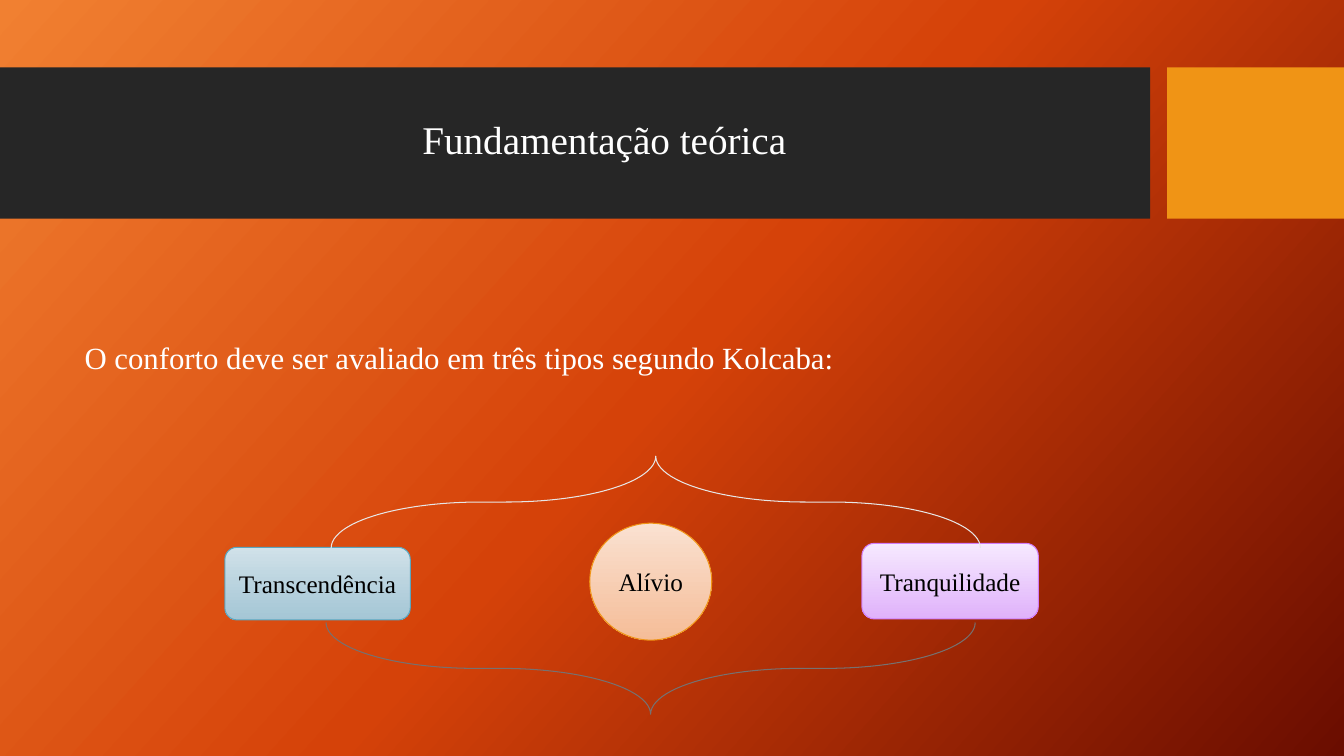
from copy import deepcopy
from dataclasses import dataclass

from pptx import Presentation
from pptx import util as u
from pptx.dml.color import RGBColor
from pptx.dml.fill import FillFormat
from pptx.enum import shapes, text
from pptx.shapes.autoshape import Shape
from pptx.slide import Slide
from pptx.text.text import TextFrame

WIDE, HIGH = u.Inches(13.333), u.Inches(7.5)
KIND = shapes.MSO_SHAPE


@dataclass(frozen=True)
class Theme:
    font: str = "Times New Roman"
    head: int = 28
    body: int = 22
    label: int = 18
    rule: float = 0.75
    light: str = "FFFFFF"
    ink: str = "000000"
    band: str = "262626"
    accent: str = "F09415"
    back: tuple[str, ...] = ("F18031", "D54209", "6A0D00")
    slope: int = 42


@dataclass(frozen=True)
class Box:
    left: float
    top: float
    width: float
    height: float

    def place(self) -> tuple[int, int, int, int]:
        return (round(WIDE * self.left / 100), round(HIGH * self.top / 100),
                round(WIDE * self.width / 100), round(HIGH * self.height / 100))


@dataclass(frozen=True)
class Comfort:
    name: str
    kind: KIND
    box: Box
    tones: tuple[str, ...]
    edge: str


@dataclass(frozen=True)
class Brace:
    box: Box
    turn: int
    edge: str


THEME = Theme()
BANDS = (
    (Box(0, 8.93, 85.58, 20), THEME.band),
    (Box(86.85, 8.93, 13.15, 20), THEME.accent),
)
TYPES = (
    Comfort("Transcendência", KIND.ROUNDED_RECTANGLE,
            Box(16.73, 72.4, 13.8, 9.6), ("D0E1E9", "A4C6D5"), "5AA6C0"),
    Comfort("Tranquilidade", KIND.ROUNDED_RECTANGLE,
            Box(64.13, 71.87, 13.13, 10), ("F6E9FE", "E0B2FB"), "D17DF9"),
    Comfort("Alívio", KIND.OVAL,
            Box(43.88, 69.2, 9.08, 15.47), ("FAE1D1", "F5BD98"), THEME.accent),
)
BRACES = (
    Brace(Box(45.38, 23.47, 6.83, 85.87), 270, "E7E6E6"),
    Brace(Box(45, 45.47, 6.83, 85.87), 90, "767171"),
)


def blend(fill: FillFormat, tones: tuple[str, ...], angle: int) -> None:
    fill.gradient()
    fill.gradient_angle = 360 - angle
    stops = fill.gradient_stops
    last = stops[len(stops) - 1]._gs
    for _ in tones[2:]:
        last.addnext(deepcopy(last))
    for i, (stop, tone) in enumerate(zip(fill.gradient_stops, tones)):
        stop.position = i / (len(tones) - 1)
        stop.color.rgb = RGBColor.from_string(tone)


def write(frame: TextFrame, words: str, size: int, color: str,
          align: text.PP_ALIGN) -> None:
    frame.text = words
    frame.vertical_anchor = text.MSO_ANCHOR.MIDDLE
    line = frame.paragraphs[0]
    line.alignment = align
    line.font.name = THEME.font
    line.font.size = u.Pt(size)
    line.font.color.rgb = RGBColor.from_string(color)


def shape(slide: Slide, kind: KIND, box: Box, edge: str | None = None) -> Shape:
    item = slide.shapes.add_shape(kind, *box.place())
    item.shadow.inherit = False
    if edge is None:
        item.line.fill.background()
    else:
        item.line.color.rgb = RGBColor.from_string(edge)
        item.line.width = u.Pt(THEME.rule)
    return item


def draw_band(slide: Slide, box: Box, color: str) -> None:
    band = shape(slide, KIND.RECTANGLE, box)
    band.fill.solid()
    band.fill.fore_color.rgb = RGBColor.from_string(color)


def draw_title(slide: Slide) -> None:
    title = slide.shapes.title
    slide.shapes._spTree.append(title._element)
    title.left, title.top, title.width, title.height = Box(
        5.55, 10.93, 78.83, 15.73).place()
    write(title.text_frame, "Fundamentação teórica", THEME.head, THEME.light,
          text.PP_ALIGN.CENTER)
    title.text_frame.paragraphs[0].line_spacing = 0.9


def draw_lead(slide: Slide) -> None:
    lead = slide.shapes.add_textbox(*Box(5.55, 44.13, 57.83, 6.27).place())
    frame = lead.text_frame
    frame.word_wrap = False
    frame.auto_size = text.MSO_AUTO_SIZE.SHAPE_TO_FIT_TEXT
    write(frame, "O conforto deve ser avaliado em três tipos segundo Kolcaba:",
          THEME.body, THEME.light, text.PP_ALIGN.LEFT)


def draw_type(slide: Slide, item: Comfort) -> None:
    node = shape(slide, item.kind, item.box, item.edge)
    blend(node.fill, item.tones, 90)
    write(node.text_frame, item.name, THEME.label, THEME.ink,
          text.PP_ALIGN.CENTER)


def draw_brace(slide: Slide, item: Brace) -> None:
    brace = shape(slide, KIND.LEFT_BRACE, item.box, item.edge)
    brace.fill.background()
    brace.adjustments[0] = 1.63
    brace.rotation = item.turn
    brace._element.spPr.xfrm.set("flipH", "1")


def main() -> None:
    deck = Presentation()
    deck.slide_width, deck.slide_height = WIDE, HIGH
    slide = deck.slides.add_slide(deck.slide_layouts[5])
    blend(slide.background.fill, THEME.back, THEME.slope)
    for box, color in BANDS:
        draw_band(slide, box, color)
    draw_title(slide)
    draw_lead(slide)
    for item in TYPES:
        draw_type(slide, item)
    for item in BRACES:
        draw_brace(slide, item)
    deck.save("out.pptx")


if __name__ == "__main__":
    main()
